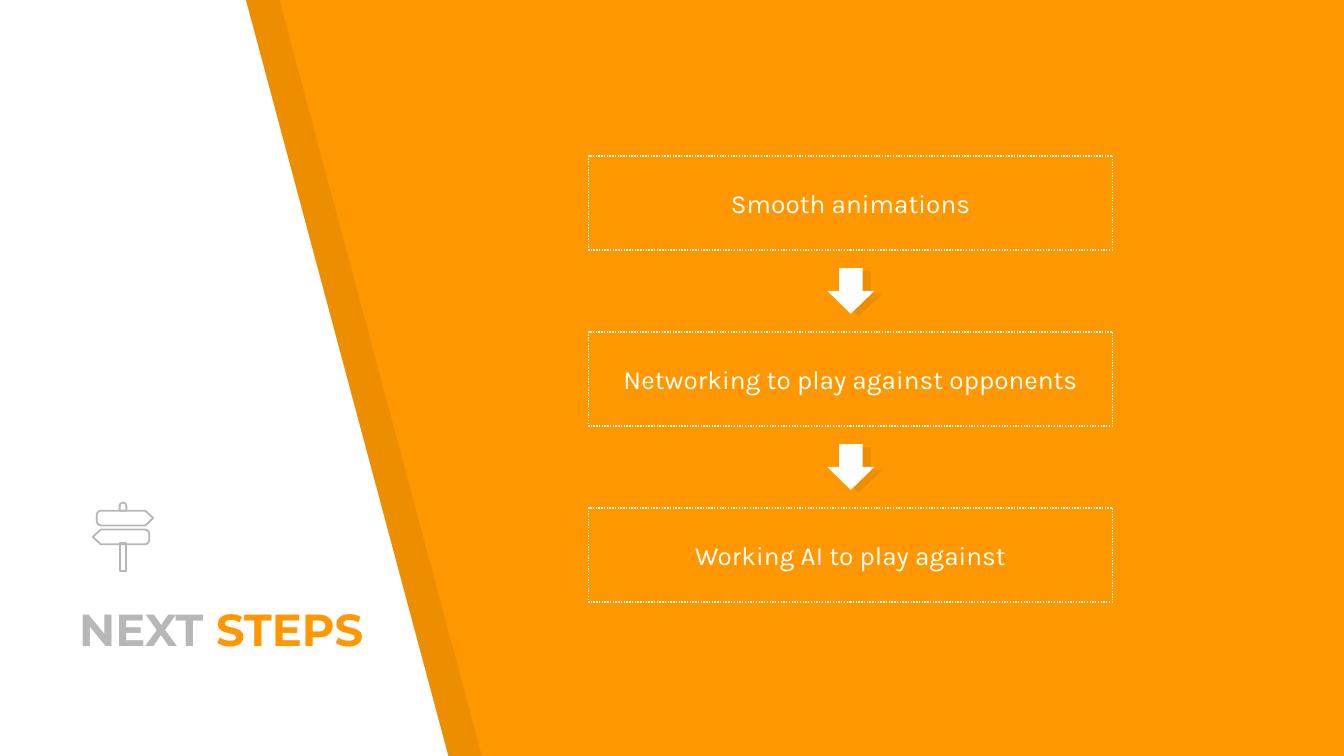
from dataclasses import dataclass
from math import cos, radians, sin

from lxml.etree import SubElement
from pptx import Presentation
from pptx.dml.color import RGBColor
from pptx.enum.dml import MSO_LINE_DASH_STYLE as Dash
from pptx.enum.shapes import MSO_SHAPE as Preset
from pptx.enum.text import MSO_ANCHOR as Anchor, PP_ALIGN as Align
from pptx.oxml.ns import qn
from pptx.shapes.autoshape import Shape
from pptx.shapes.shapetree import GroupShapes, SlideShapes
from pptx.text.text import TextFrame
from pptx.util import Emu, Pt

EMU_PER_PX = 4572  # 200 px to the inch
Point = tuple[float, float]
Shapes = SlideShapes | GroupShapes


@dataclass(frozen=True)
class Theme:
    orange: RGBColor = RGBColor(0xFF, 0x98, 0x00)
    white: RGBColor = RGBColor(0xFF, 0xFF, 0xFF)
    grey: RGBColor = RGBColor(0xB7, 0xB7, 0xB7)
    shade: RGBColor = RGBColor(0, 0, 0)
    shade_percent: int = 7
    title_font: str = "Montserrat"
    title_size: Pt = Pt(24)
    step_font: str = "Karla"
    step_size: Pt = Pt(14)
    frame_line: Pt = Pt(0.75)
    icon_line: Pt = Pt(0.96)


@dataclass(frozen=True)
class Box:
    left: int
    top: int
    width: int
    height: int

    def moved(self, dx: int, dy: int) -> "Box":
        return Box(self.left + dx, self.top + dy, self.width, self.height)

    def emu(self) -> list[Emu]:
        return [px(n) for n in (self.left, self.top, self.width, self.height)]


THEME = Theme()
SLIDE_WIDTH, SLIDE_HEIGHT = 2000, 1125
INSET = 20

PANEL: list[Point] = [(-4, -2), (-4, 1128), (668, 1128), (366, 0)]
PANEL_SHADE_SHIFT = 50

TITLE = Box(98, 890, 490, 106)
STEPS = ("Smooth animations", "Networking to play against opponents", "Working AI to play against")
FIRST_STEP = Box(876, 232, 780, 140)
FIRST_ARROW = Box(1232, 398, 68, 70)
STEP_PITCH = 262
ARROW_SHADE_SHIFT = (12, 4)

POST_CENTRE = 183
BOARD_DROP = 28


def px(length: int) -> Emu:
    return Emu(length * EMU_PER_PX)


def paint(shape: Shape, color: RGBColor) -> None:
    shape.shadow.inherit = False
    shape.fill.solid()
    shape.fill.fore_color.rgb = color
    shape.line.fill.background()


def paint_shade(shape: Shape) -> None:
    """Fill the shape with the faint see-through shade."""
    paint(shape, THEME.shade)
    color = shape.fill._xPr.find(f".//{qn('a:srgbClr')}")
    SubElement(color, qn("a:alpha"), val=str(THEME.shade_percent * 1000))


def outline(shape: Shape, color: RGBColor, width: Pt) -> None:
    shape.shadow.inherit = False
    shape.fill.background()
    shape.line.color.rgb = color
    shape.line.width = width


def add_polygon(shapes: Shapes, points: list[Point]) -> Shape:
    builder = shapes.build_freeform(*points[0], scale=EMU_PER_PX)
    builder.add_line_segments(points[1:], close=True)
    return builder.convert_to_shape()


def set_frame(frame: TextFrame, anchor: Anchor) -> None:
    frame.word_wrap = True
    frame.vertical_anchor = anchor
    frame.margin_left = frame.margin_right = px(INSET)
    frame.margin_top = frame.margin_bottom = px(INSET)


def arc(centre: Point, radius: int, start: int, end: int) -> list[Point]:
    """Points every 30 degrees, measured clockwise from the right."""
    return [
        (centre[0] + radius * cos(radians(a)), centre[1] + radius * sin(radians(a)))
        for a in range(start, end + 1, 30)
    ]


def add_panel(shapes: Shapes) -> None:
    paint_shade(add_polygon(shapes, [(x + PANEL_SHADE_SHIFT, y) for x, y in PANEL]))
    paint(add_polygon(shapes, PANEL), THEME.white)


def add_title(shapes: Shapes) -> None:
    frame = shapes.add_textbox(*TITLE.emu()).text_frame
    set_frame(frame, Anchor.BOTTOM)
    title = frame.paragraphs[0]
    title.font.name = THEME.title_font
    title.font.size = THEME.title_size
    title.font.bold = True
    for word, color in (("NEXT ", THEME.grey), ("STEPS", THEME.orange)):
        run = title.add_run()
        run.text = word
        run.font.color.rgb = color


def add_step(shapes: Shapes, box: Box, wording: str) -> None:
    step = shapes.add_shape(Preset.RECTANGLE, *box.emu())
    outline(step, THEME.white, THEME.frame_line)
    step.line.dash_style = Dash.ROUND_DOT
    set_frame(step.text_frame, Anchor.MIDDLE)
    label = step.text_frame.paragraphs[0]
    label.text = wording
    label.alignment = Align.CENTER
    label.font.name = THEME.step_font
    label.font.size = THEME.step_size
    label.font.color.rgb = THEME.white


def add_arrow(shapes: Shapes, box: Box) -> None:
    pair = shapes.add_group_shape().shapes
    shade, arrow = (
        pair.add_shape(Preset.RIGHT_ARROW, *place.emu())
        for place in (box.moved(*ARROW_SHADE_SHIFT), box)
    )
    shade.rotation = arrow.rotation = 90
    paint_shade(shade)
    paint(arrow, THEME.white)


def add_signpost(shapes: Shapes) -> None:
    right_board = [
        *arc((150, 776), 6, 90, 180),
        *arc((150, 766), 6, 180, 270),
        (216, 760),
        (228, 771),
        (216, 782),
    ]
    left_board = [(2 * POST_CENTRE - x, y + BOARD_DROP) for x, y in right_board]
    left_edge, right_edge = POST_CENTRE - 5, POST_CENTRE + 5
    cap = [(left_edge, 760), *arc((POST_CENTRE, 753), 5, 180, 360), (right_edge, 760)]
    post = [(left_edge, 808), (left_edge, 850), (right_edge, 850), (right_edge, 808)]
    icon = shapes.add_group_shape().shapes
    for part in (right_board, left_board, cap, post):
        outline(add_polygon(icon, part), THEME.grey, THEME.icon_line)


def main() -> None:
    deck = Presentation()
    deck.slide_width, deck.slide_height = px(SLIDE_WIDTH), px(SLIDE_HEIGHT)
    slide = deck.slides.add_slide(deck.slide_layouts[6])
    slide.background.fill.solid()
    slide.background.fill.fore_color.rgb = THEME.orange

    add_panel(slide.shapes)
    add_title(slide.shapes)
    for i, wording in enumerate(STEPS):
        add_step(slide.shapes, FIRST_STEP.moved(0, i * STEP_PITCH), wording)
    for i in range(len(STEPS) - 1):
        add_arrow(slide.shapes, FIRST_ARROW.moved(0, i * STEP_PITCH))
    add_signpost(slide.shapes)
    deck.save("out.pptx")


if __name__ == "__main__":
    main()
